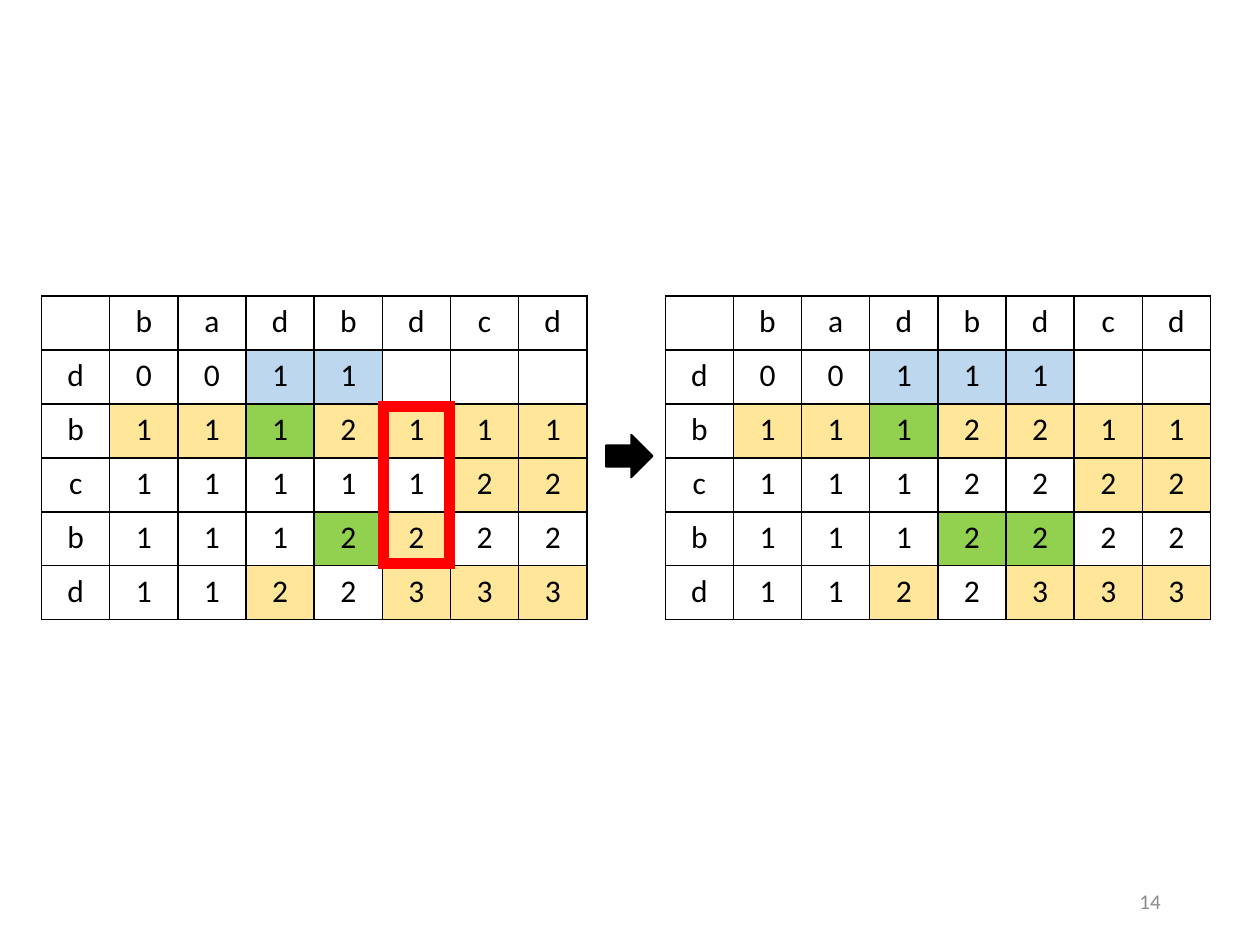
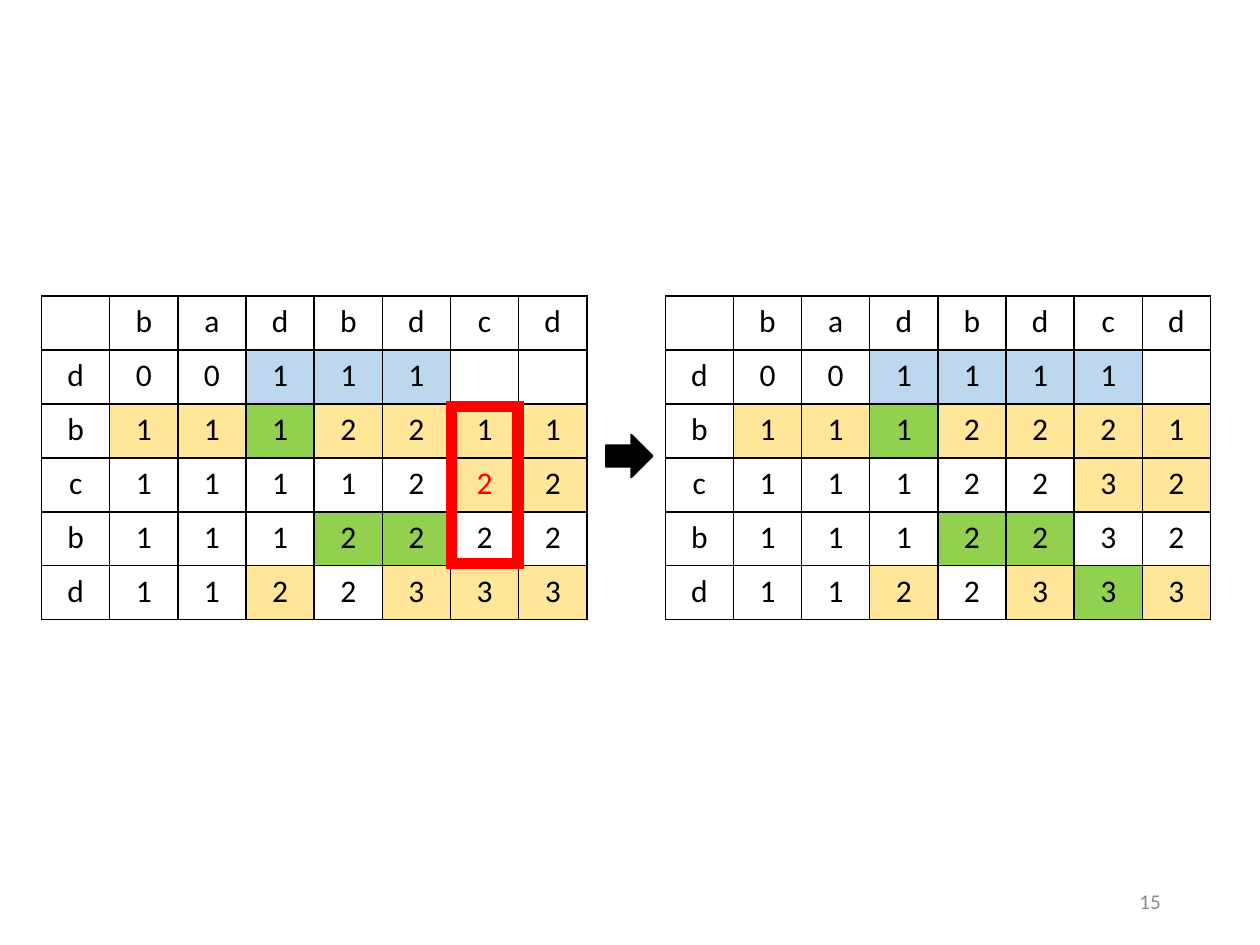
from itertools import product

from lxml.etree import SubElement
from pptx import Presentation
from pptx.dml.color import RGBColor
from pptx.enum.shapes import MSO_SHAPE as Shape
from pptx.enum.text import MSO_ANCHOR as Anchor, PP_ALIGN as Align
from pptx.oxml.ns import qn
from pptx.util import Inches, Pt

COLORS = {"black": "000000", "white": "FFFFFF", "gray": "8C8C8C", "red": "FF0000",
          "blue": "BDD7EE", "yellow": "FFE699", "green": "92D050"}
FILLS = {"B": "blue", "Y": "yellow", "G": "green"}
FONT = "Calibri"
COLS, ROWS = 8, 6
WIDTH, HEIGHT = 4.33, 2.57
COL, ROW = WIDTH / COLS, HEIGHT / ROWS
TOP, LEFT, RIGHT = 2.35, 0.33, 5.28

# Each cell is its text, then a fill letter, then R for red text; a dot is empty.
START = """
.  b  a  d  b  d  c  d
d  0  0  1B 1B .  .  .
b  1Y 1Y 1G 2Y 1Y 1Y 1Y
c  1  1  1  1  1  2Y 2Y
b  1  1  1  2G 2Y 2  2
d  1  1  2Y 2  3Y 3Y 3Y
"""
# Per slide: number, framed column, changes before the left and the right table.
STEPS = [
    (14, 5, {},
     {(1, 5): "1B", (2, 5): "2Y", (3, 4): "2", (3, 5): "2", (4, 5): "2G"}),
    (15, 6, {(3, 4): "1", (3, 6): "2YR"},
     {(1, 6): "1B", (2, 6): "2Y", (3, 4): "2", (3, 6): "3Y", (4, 6): "3",
      (5, 6): "3G"}),
]


def rgb(name):
    return RGBColor.from_string(COLORS[name])


def write(par, text, size, color, align):
    par.alignment = align
    run = par.add_run()
    run.text = text
    run.font.name, run.font.size = FONT, Pt(size)
    run.font.color.rgb = rgb(color)


def border(cell):
    props = cell._tc.get_or_add_tcPr()
    for side in ("a:lnL", "a:lnR", "a:lnT", "a:lnB"):
        line = SubElement(props, qn(side), w=str(Pt(1)))
        fill = SubElement(line, qn("a:solidFill"))
        SubElement(fill, qn("a:srgbClr"), val=COLORS["black"])


def add_grid(slide, left, top, cells):
    box = [Inches(n) for n in (left, top, WIDTH, HEIGHT)]
    table = slide.shapes.add_table(ROWS, COLS, *box).table
    table.first_row = table.horz_banding = False
    for col in table.columns:
        col.width = Inches(COL)
    for row in table.rows:
        row.height = Inches(ROW)
    for r, c in product(range(ROWS), range(COLS)):
        cell, code = table.cell(r, c), cells[r, c]
        border(cell)
        cell.fill.solid()
        cell.fill.fore_color.rgb = rgb(FILLS.get(code[1:2], "white"))
        if code != ".":
            color = "red" if code.endswith("R") else "black"
            write(cell.text_frame.paragraphs[0], code[0], 18, color, Align.CENTER)


def add_mark(slide, kind, color, *box):
    mark = slide.shapes.add_shape(kind, *[Inches(n) for n in box])
    mark.shadow.inherit = False
    mark.fill.solid()
    mark.fill.fore_color.rgb = mark.line.color.rgb = rgb(color)
    mark.line.width = Pt(1)


def add_frame(slide, left, top, col, row, count):
    """Frame some cells of one column, slightly outside their edges."""
    dx, dy = 0.03, 0.02
    add_mark(slide, Shape.FRAME, "red", left + col * COL - dx, top + row * ROW - dy,
             COL + 2 * dx, count * ROW + 2 * dy)


def add_number(slide, number):
    box = slide.shapes.add_textbox(*[Inches(n) for n in (7.06, 6.95, 2.25, 0.4)])
    frame = box.text_frame
    frame.word_wrap = True
    frame.vertical_anchor = Anchor.MIDDLE
    write(frame.paragraphs[0], str(number), 12, "gray", Align.RIGHT)


def add_step(deck, number, col, before, after):
    slide = deck.slides.add_slide(deck.slide_layouts[6])
    add_number(slide, number)
    add_grid(slide, LEFT, TOP, before)
    add_grid(slide, RIGHT, TOP, after)
    add_mark(slide, Shape.RIGHT_ARROW, "black", 4.81, 3.45, 0.37, 0.34)
    add_frame(slide, LEFT, TOP, col, 2, 3)


def main():
    deck = Presentation()
    deck.slide_width, deck.slide_height = Inches(10), Inches(7.5)
    cells = dict(zip(product(range(ROWS), range(COLS)), START.split()))
    for number, col, first, then in STEPS:
        before = cells | first
        cells = before | then
        add_step(deck, number, col, before, cells)
    deck.save("out.pptx")


if __name__ == "__main__":
    main()
